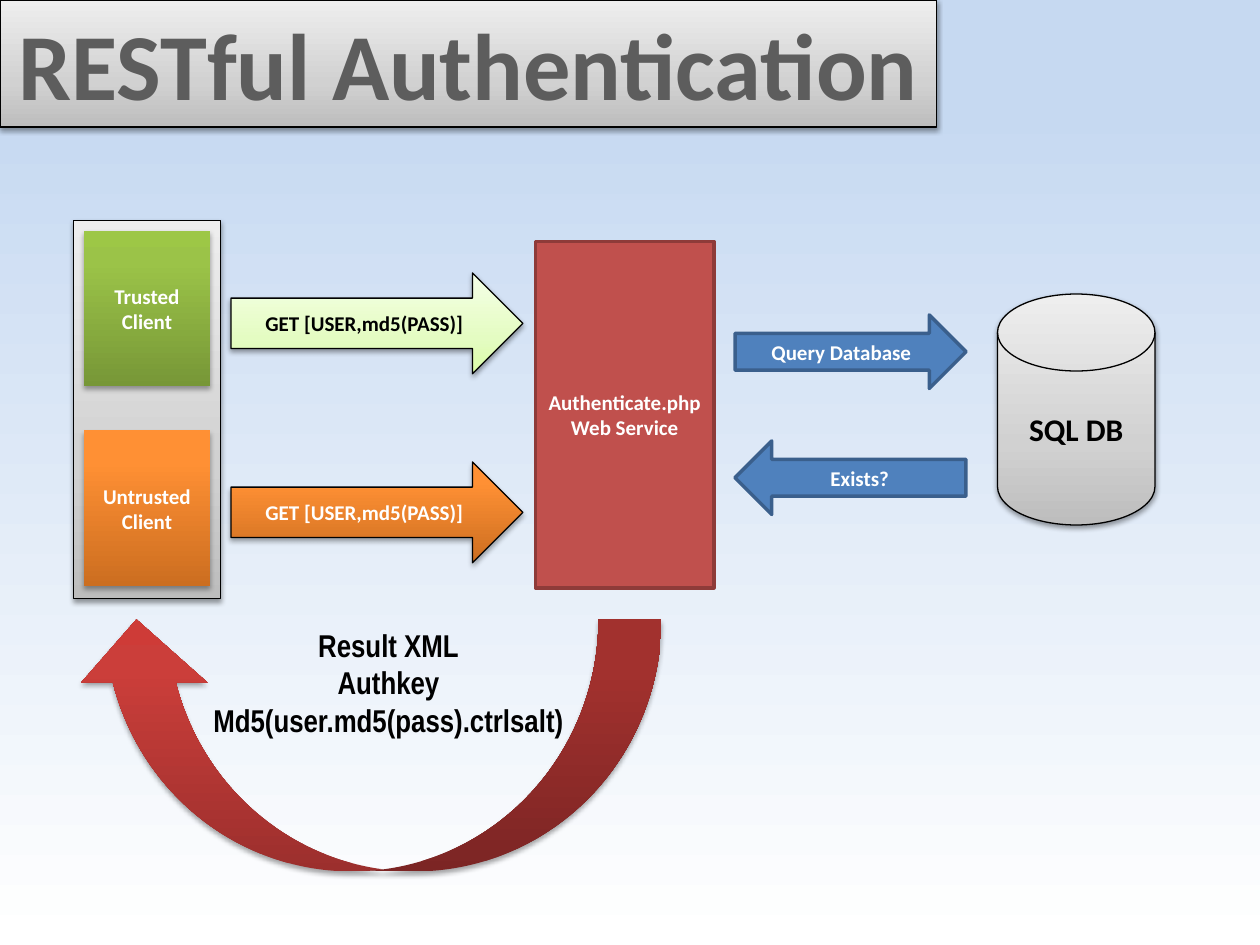
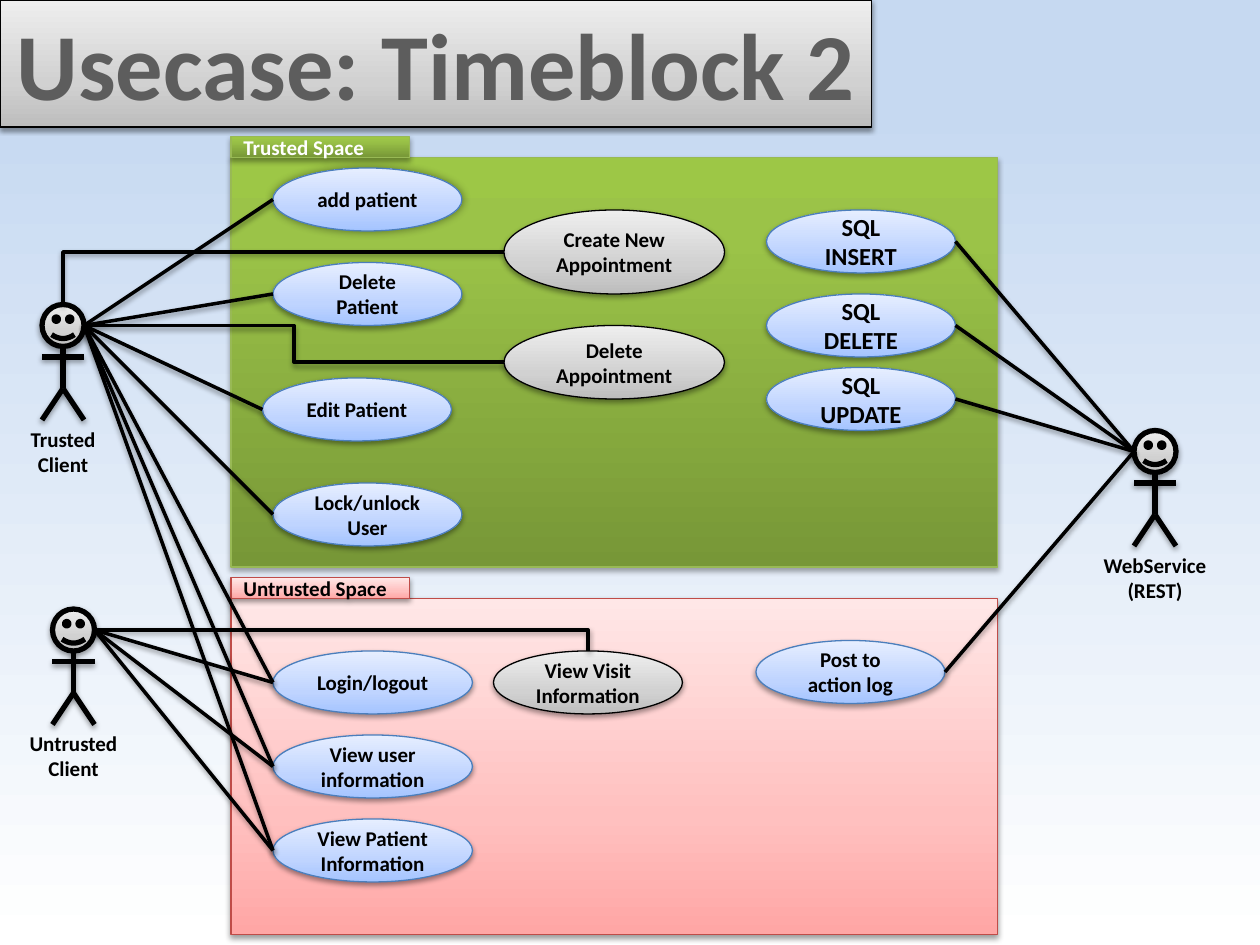
from copy import deepcopy
from dataclasses import dataclass, replace

from lxml import etree
from pptx import Presentation
from pptx.dml.color import RGBColor
from pptx.enum.shapes import MSO_CONNECTOR, MSO_SHAPE
from pptx.enum.text import MSO_ANCHOR, MSO_AUTO_SIZE, PP_ALIGN
from pptx.oxml.ns import qn
from pptx.util import Emu, Inches, Pt

RECT, OVAL, FACE = MSO_SHAPE.RECTANGLE, MSO_SHAPE.OVAL, MSO_SHAPE.SMILEY_FACE
ARROW, DISK = MSO_SHAPE.RIGHT_ARROW, MSO_SHAPE.FLOWCHART_MAGNETIC_DISK
RETURN_ARROW = MSO_SHAPE.CURVED_UP_ARROW
STRAIGHT, ELBOW = MSO_CONNECTOR.STRAIGHT, MSO_CONNECTOR.ELBOW
LEFT, CENTER = PP_ALIGN.LEFT, PP_ALIGN.CENTER
TOP, MIDDLE = MSO_ANCHOR.TOP, MSO_ANCHOR.MIDDLE

# The slide is a grid of 120 columns by 90 rows, twelve cells to the inch
CELL = Inches(1) // 12
COLUMNS, ROWS = 120, 90
TITLE_ONLY = 5


@dataclass(frozen=True)
class Shadow:
    alpha: int
    blur: float
    distance: float
    angle: int = 90


SOFT = Shadow(38, 3.1, 1.6)
STRONG = Shadow(35, 3.1, 1.8)
GLOW = Shadow(40, 5, 0, 0)


@dataclass(frozen=True)
class Style:
    """fill is one colour, or (percent, colour) stops from bottom to top."""
    fill: str | tuple
    line: str | None = None
    width: float = 0.75
    shadow: Shadow | None = SOFT
    ink: str = "000000"


@dataclass(frozen=True)
class Theme:
    font: str = "Calibri"
    narrow_font: str = "Arial Narrow"
    title_size: int = 54
    large: int = 18
    medium: int = 14
    small: int = 12
    black: str = "000000"
    white: str = "FFFFFF"
    title_ink: str = "5D5D5D"
    link_width: float = 2
    body_width: float = 3
    backdrop: tuple = ((11, "C6D9F1"), (100, "FFFFFF"))
    gray: Style = Style(((0, "BDBDBD"), (35, "D1D1D1"), (100, "EEEEEE")), "000000")
    green: Style = Style(((0, "779737"), (80, "9BC348"), (100, "9DC746")),
                         None, shadow=STRONG, ink="FFFFFF")
    orange: Style = Style(((0, "CC6E20"), (80, "FF9034"), (100, "FF9136")),
                          None, shadow=STRONG, ink="FFFFFF")
    lime: Style = Style(((0, "DAFDA7"), (35, "E4FCC2"), (100, "F5FFE7")), "000000")
    pink: Style = Style(((0, "FFA6A5"), (35, "FFC0BF"), (100, "FFE7E7")), "BF4C48")
    sky: Style = Style(((0, "A4C4FF"), (35, "BFD4FF"), (100, "E6EEFF")), "4B7EBC")
    crimson: Style = Style(((0, "9C2F2D"), (80, "CB3E3A"), (100, "CE3B37")),
                           shadow=STRONG)
    service: Style = Style("C0504D", "8E3B39", 2, None, "FFFFFF")
    query: Style = Style("4F81BD", "3A5F8C", 2, None, "FFFFFF")


THEME = Theme()


@dataclass(frozen=True)
class Box:
    """Place in grid cells."""
    col: float
    row: float
    cols: float
    rows: float

    def emu(self) -> list[Emu]:
        return [cells(n) for n in (self.col, self.row, self.cols, self.rows)]

    def left_port(self) -> tuple:
        return self.col, self.row + self.rows / 2

    def right_port(self) -> tuple:
        return self.col + self.cols, self.row + self.rows / 2


@dataclass(frozen=True)
class Actor:
    label: str
    col: float
    row: float
    label_box: Box

    def head(self) -> Box:
        return Box(self.col, self.row, 4, 4)


@dataclass(frozen=True)
class UseCase:
    label: str
    box: Box
    style: Style = THEME.sky
    size: int = THEME.small
    actors: tuple = ()


def cells(count: float) -> Emu:
    return Emu(round(count * CELL))


# Formatting
def paint_gradient(fill, stops: tuple, angle: int) -> None:
    fill.gradient()
    fill.gradient_angle = angle
    last = fill.gradient_stops[1]._gs
    for _ in stops[2:]:
        last.addnext(deepcopy(last))
    for stop, (percent, colour) in zip(fill.gradient_stops, stops):
        stop.position = percent / 100
        stop.color.rgb = RGBColor.from_string(colour)


def cast_shadow(part, shadow: Shadow | None) -> None:
    properties = part._element.spPr
    for old in properties.findall(qn("a:effectLst")):
        properties.remove(old)
    effects = etree.SubElement(properties, qn("a:effectLst"))
    if shadow:
        outer = etree.SubElement(
            effects, qn("a:outerShdw"), blurRad=str(Pt(shadow.blur)),
            dist=str(Pt(shadow.distance)), dir=str(shadow.angle * 60000),
            rotWithShape="0")
        colour = etree.SubElement(outer, qn("a:srgbClr"), val=THEME.black)
        etree.SubElement(colour, qn("a:alpha"), val=str(shadow.alpha * 1000))


def draw_line(line, colour: str, width: float) -> None:
    line.color.rgb = RGBColor.from_string(colour)
    line.width = Pt(width)


def apply_style(shape, style: Style) -> None:
    if isinstance(style.fill, str):
        shape.fill.solid()
        shape.fill.fore_color.rgb = RGBColor.from_string(style.fill)
    else:
        paint_gradient(shape.fill, style.fill, 90)
    if style.line:
        draw_line(shape.line, style.line, style.width)
    else:
        shape.line.fill.background()
    cast_shadow(shape, style.shadow)


def write(shape, text: str, size: int, ink: str, align=CENTER, anchor=MIDDLE,
          font: str = THEME.font, wrap: bool = True) -> None:
    frame = shape.text_frame
    frame.text = text
    frame.auto_size = MSO_AUTO_SIZE.NONE
    frame.word_wrap = wrap
    frame.vertical_anchor = anchor
    for paragraph in frame.paragraphs:
        paragraph.alignment = align
        paragraph.font.name = font
        paragraph.font.size = Pt(size)
        paragraph.font.bold = True
        paragraph.font.color.rgb = RGBColor.from_string(ink)


# Parts
def add_block(slide, kind, box: Box, style: Style, text: str = "",
              size: int = THEME.small, align=CENTER, flip: bool = False) -> None:
    shape = slide.shapes.add_shape(kind, *box.emu())
    apply_style(shape, style)
    if flip:
        shape._element.spPr.find(qn("a:xfrm")).set("flipH", "1")
    if text:
        write(shape, text, size, style.ink, align)


def add_label(slide, box: Box, text: str, size: int = THEME.small,
              font: str = THEME.font) -> None:
    label = slide.shapes.add_textbox(*box.emu())
    write(label, text, size, THEME.black, anchor=TOP, font=font)


def add_link(slide, start: tuple, end: tuple, width: float = THEME.link_width,
             kind=STRAIGHT, one_bend: bool = False) -> None:
    link = slide.shapes.add_connector(kind, *[cells(n) for n in (*start, *end)])
    if one_bend:
        link._element.spPr.find(qn("a:prstGeom")).set("prst", "bentConnector2")
    draw_line(link.line, THEME.black, width)
    cast_shadow(link, SOFT)


def add_actor(slide, actor: Actor) -> None:
    add_block(slide, FACE, actor.head(), replace(THEME.gray, width=THEME.body_width))
    left, middle, right = actor.col, actor.col + 2, actor.col + 4
    neck, arms, hips, feet = (actor.row + drop for drop in (4, 5, 8, 11))
    for start, end in (((middle, neck), (middle, hips)),
                       ((middle, hips), (left, feet)),
                       ((middle, hips), (right, feet)),
                       ((left, arms), (right, arms))):
        add_link(slide, start, end, THEME.body_width)
    add_label(slide, actor.label_box, actor.label)


def add_titled_slide(deck, title: str, width: float):
    slide = deck.slides.add_slide(deck.slide_layouts[TITLE_ONLY])
    heading = slide.shapes.title
    heading.left, heading.top, heading.width, heading.height = Box(0, 0, width, 12.1).emu()
    apply_style(heading, THEME.gray)
    write(heading, title, THEME.title_size, THEME.title_ink, anchor=TOP, wrap=False)
    return slide


# Slide 1: request and answer between clients, service and database
def build_authentication(deck) -> None:
    slide = add_titled_slide(deck, "RESTful Authentication", 89.2)
    add_block(slide, RECT, Box(7, 21, 14, 36), THEME.gray)
    requests = (("Trusted Client", 22, THEME.green, THEME.lime, 26),
                ("Untrusted Client", 41, THEME.orange, THEME.orange, 44))
    for client, row, client_style, arrow_style, arrow_row in requests:
        add_block(slide, RECT, Box(8, row, 12, 14.8), client_style, client)
        add_block(slide, ARROW, Box(22, arrow_row, 27.8, 9.6),
                  replace(arrow_style, line=THEME.black), "GET [USER,md5(PASS)]")
    add_block(slide, RECT, Box(51, 23, 17, 33), THEME.service,
              "Authenticate.php\nWeb Service")
    for message, row, is_reply in (("Query Database", 30, False), ("Exists?", 42, True)):
        add_block(slide, ARROW, Box(70, row, 22, 7), THEME.query, message, flip=is_reply)
    add_block(slide, DISK, Box(95, 28, 15, 22), THEME.gray, "SQL DB", THEME.large)
    add_block(slide, RETURN_ARROW, Box(7, 59, 56, 24), THEME.crimson, flip=True)
    add_label(slide, Box(18, 59, 38, 15.7),
              "Result XML\nAuthkey\nMd5(user.md5(pass).ctrlsalt)",
              THEME.large, THEME.narrow_font)


# Slide 2: actors and the use cases they reach
TRUSTED = Actor("Trusted Client", 4, 29, Box(1, 40, 10, 6))
UNTRUSTED = Actor("Untrusted Client", 5, 58, Box(1, 69, 12, 6))
SERVICE = Actor("WebService (REST)", 108, 41, Box(102, 52, 16, 6))
CLIENTS = (TRUSTED, UNTRUSTED)

CREATE_BOX = Box(48, 20, 21, 8)
DELETE_BOX = Box(48, 31, 21, 7)
VISIT_BOX = Box(47, 62, 18, 6)

USE_CASES = (
    UseCase("add patient", Box(26, 16, 18, 6), replace(THEME.sky, shadow=GLOW),
            actors=(TRUSTED,)),
    UseCase("Delete Patient", Box(26, 25, 18, 6), actors=(TRUSTED,)),
    UseCase("Edit Patient", Box(25, 36, 18, 6), actors=(TRUSTED,)),
    UseCase("Lock/unlock User", Box(26, 46, 18, 6), actors=(TRUSTED,)),
    *(UseCase(label, Box(26, 62 + 8 * index, 19, 6), actors=CLIENTS)
      for index, label in enumerate(
          ("Login/logout", "View user information", "View Patient Information"))),
    UseCase("Post to action log", Box(72, 61, 18, 6), actors=(SERVICE,)),
    *(UseCase(f"SQL {verb}", Box(73, row, 18, 6), size=THEME.medium, actors=(SERVICE,))
      for verb, row in (("INSERT", 20), ("DELETE", 28), ("UPDATE", 35))),
    UseCase("Create New Appointment", CREATE_BOX, THEME.gray),
    UseCase("Delete Appointment", DELETE_BOX, THEME.gray),
    UseCase("View Visit Information", VISIT_BOX, THEME.gray),
)


def build_use_cases(deck) -> None:
    slide = add_titled_slide(deck, "Usecase: Timeblock 2", 83)
    # Spaces with their tabs
    trusted_style = replace(THEME.green, line="98B955")
    for name, row, rows, style in (("Trusted Space", 15, 39, trusted_style),
                                   ("Untrusted Space", 57, 32, THEME.pink)):
        add_block(slide, RECT, Box(22, row, 73, rows), style)
        add_block(slide, RECT, Box(22, row - 2, 17, 2), style, name, align=LEFT)
    for actor in (*CLIENTS, SERVICE):
        add_actor(slide, actor)
    # Use cases with their straight links
    for case in USE_CASES:
        add_block(slide, OVAL, case.box, case.style, case.label, case.size)
        for actor in case.actors:
            if actor is SERVICE:
                add_link(slide, actor.head().left_port(), case.box.right_port())
            else:
                add_link(slide, actor.head().right_port(), case.box.left_port())
    # Bent links to the appointment and visit cases
    add_link(slide, CREATE_BOX.left_port(), (TRUSTED.col + 2, TRUSTED.row),
             kind=ELBOW, one_bend=True)
    add_link(slide, DELETE_BOX.left_port(), TRUSTED.head().right_port(), kind=ELBOW)
    add_link(slide, UNTRUSTED.head().right_port(),
             (VISIT_BOX.col + VISIT_BOX.cols / 2, VISIT_BOX.row),
             kind=ELBOW, one_bend=True)


deck = Presentation()
deck.slide_width, deck.slide_height = cells(COLUMNS), cells(ROWS)
paint_gradient(deck.slide_master.background.fill, THEME.backdrop, 270)
build_authentication(deck)
build_use_cases(deck)
deck.save("out.pptx")
